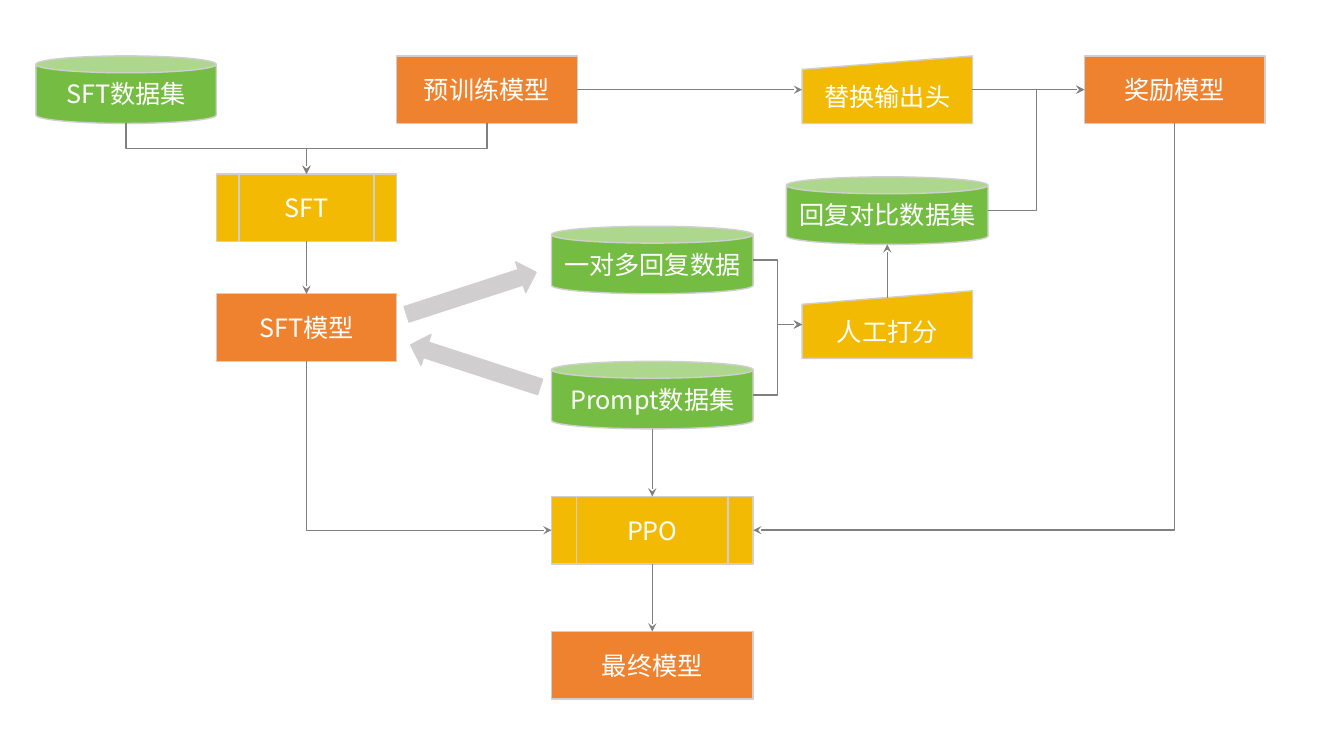
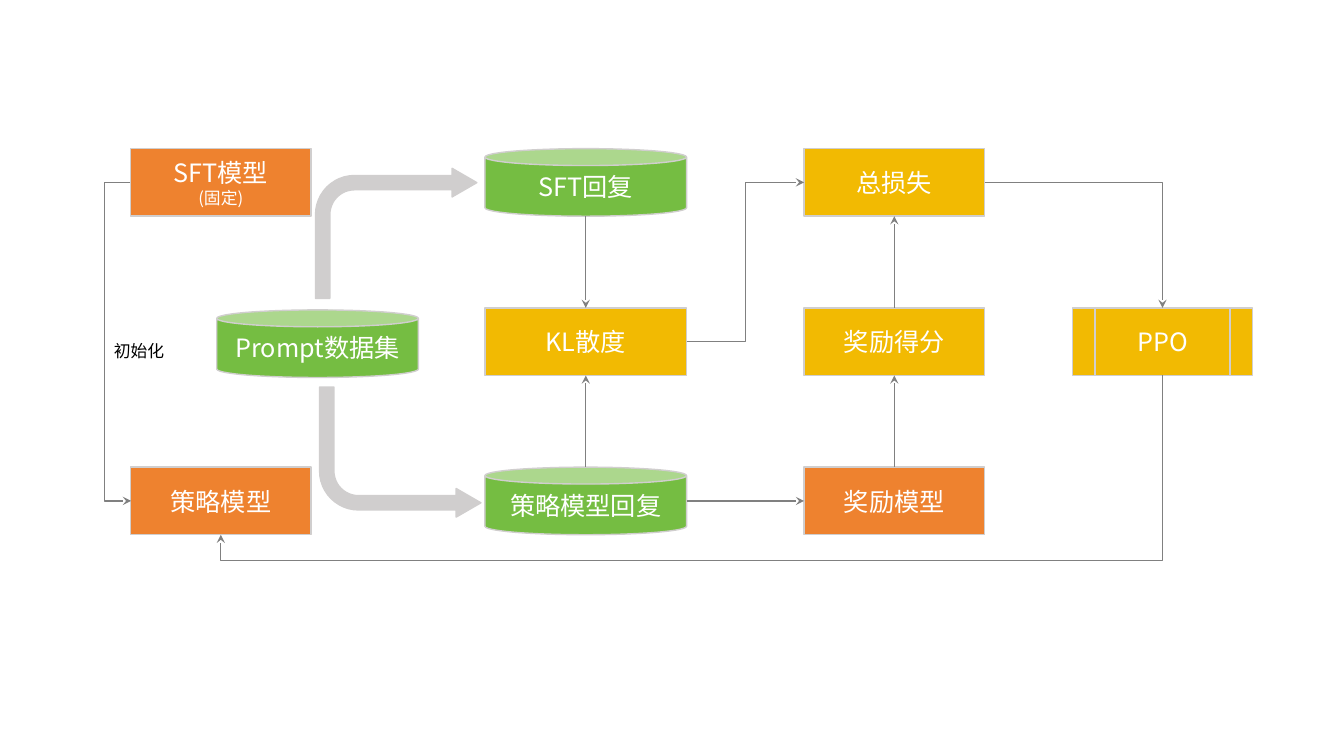
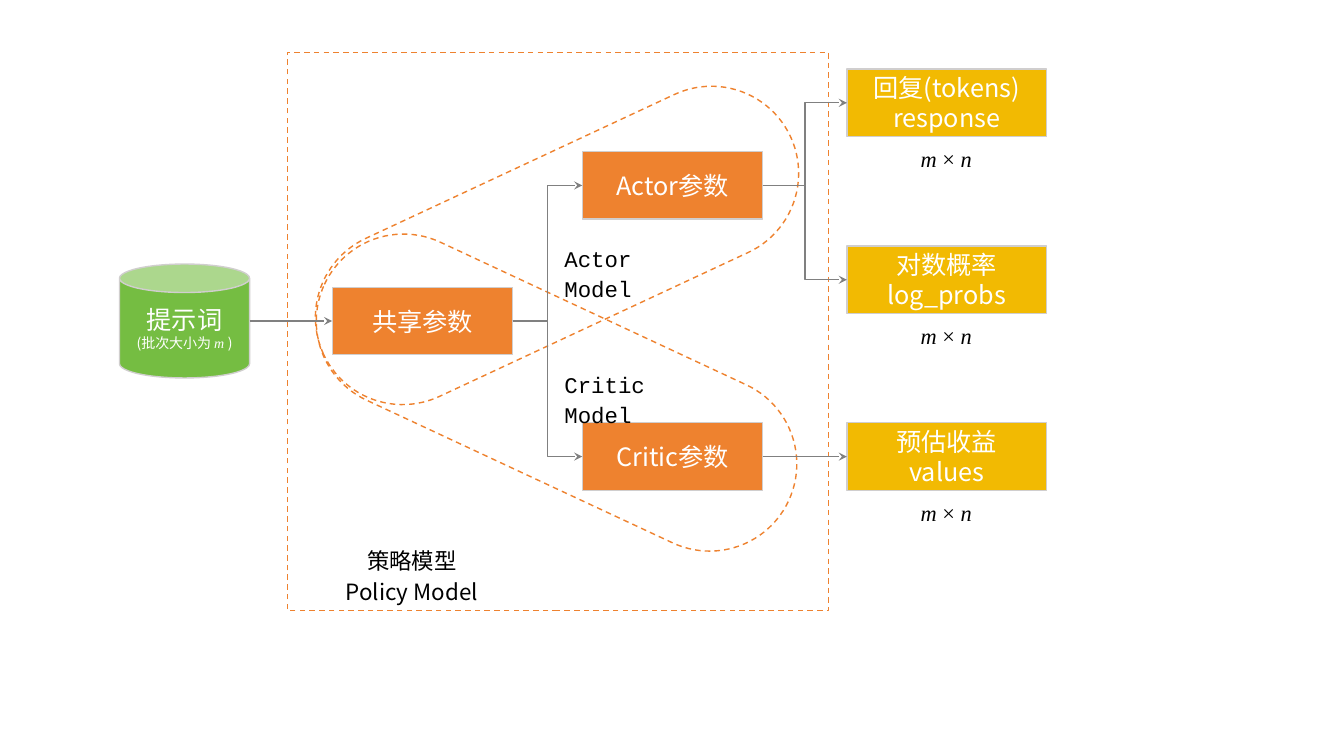
import lxml.etree
import pptx
import pptx.dml.color
import pptx.enum.dml
import pptx.enum.shapes
import pptx.enum.text
import pptx.oxml.ns
import pptx.util

RGB = pptx.dml.color.RGBColor
ORANGE = RGB(0xEE, 0x82, 0x2F)
GREEN = RGB(0x75, 0xBD, 0x42)
YELLOW = RGB(0xF2, 0xBA, 0x02)
SILVER = RGB(0xD0, 0xCE, 0xCE)
GREY = RGB(0x80, 0x80, 0x80)
WHITE = RGB(0xFF, 0xFF, 0xFF)
BLACK = RGB(0, 0, 0)

SANS, SERIF, MONO = "Noto Sans CJK SC", "Times New Roman", "Courier New"
KIND = pptx.enum.shapes.MSO_SHAPE
LINK = pptx.enum.shapes.MSO_CONNECTOR
CENTER = pptx.enum.text.PP_ALIGN.CENTER
LEFT = pptx.enum.text.PP_ALIGN.LEFT
TOP_SIDE, LEFT_SIDE, BOTTOM_SIDE, RIGHT_SIDE = range(4)

BOX_W, BOX_H, WIDE_W = 1.79, 0.67, 2
MODEL = (KIND.RECTANGLE, ORANGE)
DATA = (KIND.CAN, GREEN)
VALUE = (KIND.RECTANGLE, YELLOW)
PROCESS = (KIND.FLOWCHART_PREDEFINED_PROCESS, YELLOW)
MANUAL = (KIND.FLOWCHART_MANUAL_INPUT, YELLOW)

qn = pptx.oxml.ns.qn


def inches(*lengths):
    return [pptx.util.Inches(v) for v in lengths]


def write(tf, paragraphs, size, color, font=SANS, align=CENTER, spacing=None):
    for n, runs in enumerate(paragraphs):
        p = tf.paragraphs[0] if n == 0 else tf.add_paragraph()
        p.alignment = align
        if spacing:
            p.line_spacing = pptx.util.Pt(spacing)
        for run in [runs] if isinstance(runs, str) else runs:
            text, style = (run, {}) if isinstance(run, str) else run
            r = p.add_run()
            r.text = text
            name = style.get("font", font)
            r.font.name = name
            r.font.size = pptx.util.Pt(style.get("size", size))
            r.font.italic = style.get("italic", False)
            r.font.color.rgb = color
            ea = lxml.etree.SubElement(r.font._element, qn("a:ea"))
            ea.set("typeface", name)


def shape(s, kind, at, fill=None, line=SILVER, rotation=0):
    sp = s.shapes.add_shape(kind, *inches(*at))
    sp.shadow.inherit = False
    sp.rotation = rotation
    if fill is None:
        sp.fill.background()
    else:
        sp.fill.solid()
        sp.fill.fore_color.rgb = fill
    sp.line.color.rgb = line
    sp.line.width = pptx.util.Pt(1)
    return sp


def node(s, role, cx, cy, *paragraphs, w=BOX_W, h=BOX_H):
    kind, fill = role
    sp = shape(s, kind, (cx - w / 2, cy - h / 2, w, h), fill)
    sp.text_frame.vertical_anchor = pptx.enum.text.MSO_ANCHOR.MIDDLE
    write(sp.text_frame, paragraphs, 18, WHITE)
    return sp


def label(s, at, *paragraphs, size=16, **style):
    tf = s.shapes.add_textbox(*inches(*at)).text_frame
    tf.word_wrap = True
    tf.auto_size = pptx.enum.text.MSO_AUTO_SIZE.SHAPE_TO_FIT_TEXT
    write(tf, paragraphs, size, BLACK, **style)


def outline(s, kind, at, rotation=0):
    sp = shape(s, kind, at, line=ORANGE, rotation=rotation)
    sp.line.dash_style = pptx.enum.dml.MSO_LINE.DASH
    return sp


def bent_arrow(s, left, top, flipped=False):
    sp = shape(s, KIND.BENT_ARROW, (left, top, 1.6, 1.29), SILVER)
    for n, share in enumerate((0.11, 0.11, 0.19, 0.3)):
        sp.adjustments[n] = share
    if flipped:
        sp._element.spPr.find(qn("a:xfrm")).set("flipV", "1")


def site(sp, side):
    x = sp.left + sp.width * {LEFT_SIDE: 0, RIGHT_SIDE: 1}.get(side, 0.5)
    y = sp.top + sp.height * {TOP_SIDE: 0, BOTTOM_SIDE: 1}.get(side, 0.5)
    if side == TOP_SIDE and sp.auto_shape_type == KIND.FLOWCHART_MANUAL_INPUT:
        y += sp.height / 10
    return x, y


def connect(s, a, i, b, j, bend=0.5):
    (x1, y1), (x2, y2) = site(a, i), site(b, j)
    dx, dy = x2 - x1, y2 - y1
    near = pptx.util.Inches(0.02)
    straight = i != j and min(abs(dx), abs(dy)) < near
    c = s.shapes.add_connector(LINK.STRAIGHT if straight else LINK.ELBOW, 0, 0, 0, 0)
    c.begin_connect(a, i)
    c.end_connect(b, j)
    for end, sp, side in (("stCxn", a, i), ("endCxn", b, j)):
        if sp.auto_shape_type == KIND.CAN:
            next(c._element.iter(qn("a:" + end))).set("idx", str(side + 1))

    upright = not straight and i in (TOP_SIDE, BOTTOM_SIDE)
    w, h = (abs(dy), abs(dx)) if upright else (abs(dx), abs(dy))
    if i == j:
        w = max(w, pptx.util.Inches(0.01))
    c.left, c.top = int((x1 + x2 - w) / 2), int((y1 + y2 - h) / 2)
    c.width, c.height = int(w), int(h)
    spPr = c._element.spPr
    xfrm = spPr.find(qn("a:xfrm"))
    turn = (90 if dy > 0 else 270) if upright else 0
    flip_v = (dx > 0) == (dy > 0) if upright else dy < 0
    xfrm.set("rot", str(turn * 60000))
    xfrm.set("flipH", str(int(not upright and dx < 0)))
    xfrm.set("flipV", str(int(flip_v)))

    if not straight:
        geom = spPr.find(qn("a:prstGeom"))
        if i % 2 != j % 2:
            geom.set("prst", "bentConnector2")
        else:
            av = geom.find(qn("a:avLst"))
            if av is None:
                av = lxml.etree.SubElement(geom, qn("a:avLst"))
            gd = lxml.etree.SubElement(av, qn("a:gd"))
            gd.set("name", "adj1")
            gd.set("fmla", f"val {round(bend * 100000)}")

    c.line.color.rgb = GREY
    c.line.width = pptx.util.Pt(1)
    ln = spPr.find(qn("a:ln"))
    lxml.etree.SubElement(ln, qn("a:tailEnd")).set("type", "stealth")
    lxml.etree.SubElement(spPr, qn("a:effectLst"))


def training_slide(s):
    left, sft_col, base_col = [1.25 + BOX_W * n for n in range(3)]
    mid, right, reward_col = 6.47, 8.8, 11.65
    top = 0.89
    replies_row, prompt_row, ppo_row, final_row = [2.58 + 1.34 * n for n in range(4)]

    base = node(s, MODEL, base_col, top, "预训练模型")
    sft_data = node(s, DATA, left, top, "SFT数据集")
    sft = node(s, PROCESS, sft_col, 2.06, "SFT")
    sft_model = node(s, MODEL, sft_col, 3.25, "SFT模型")
    replies = node(s, DATA, mid, replies_row, "一对多回复数据", w=WIDE_W)
    prompts = node(s, DATA, mid, prompt_row, "Prompt数据集", w=WIDE_W)
    scoring = node(s, MANUAL, right, 3.22, "人工打分", w=1.69)
    ranked = node(s, DATA, right, 2.09, "回复对比数据集", w=WIDE_W)
    reward = node(s, MODEL, reward_col, top, "奖励模型")
    new_head = node(s, MANUAL, right, top, "替换输出头", w=1.69)
    ppo = node(s, PROCESS, mid, ppo_row, "PPO", w=WIDE_W)
    final = node(s, MODEL, mid, final_row, "最终模型", w=WIDE_W)

    shape(s, KIND.RIGHT_ARROW, (4, 2.75, 1.35, 0.32), SILVER, rotation=-18)
    shape(s, KIND.LEFT_ARROW, (4.04, 3.47, 1.35, 0.32), SILVER, rotation=18)

    for a, i, b, j in (
        (sft_data, BOTTOM_SIDE, sft, TOP_SIDE),
        (base, BOTTOM_SIDE, sft, TOP_SIDE),
        (sft, BOTTOM_SIDE, sft_model, TOP_SIDE),
        (replies, RIGHT_SIDE, scoring, LEFT_SIDE),
        (prompts, RIGHT_SIDE, scoring, LEFT_SIDE),
        (scoring, TOP_SIDE, ranked, BOTTOM_SIDE),
        (base, RIGHT_SIDE, new_head, LEFT_SIDE),
        (new_head, RIGHT_SIDE, reward, LEFT_SIDE),
        (ranked, RIGHT_SIDE, reward, LEFT_SIDE),
        (prompts, BOTTOM_SIDE, ppo, TOP_SIDE),
        (reward, BOTTOM_SIDE, ppo, RIGHT_SIDE),
        (ppo, BOTTOM_SIDE, final, TOP_SIDE),
        (sft_model, BOTTOM_SIDE, ppo, LEFT_SIDE),
    ):
        connect(s, a, i, b, j)


def ppo_slide(s):
    models, replies, scores, update = 2.19, 5.81, 8.87, 11.53
    top, mid, low = [1.81 + 1.58 * n for n in range(3)]

    sft_model = node(s, MODEL, models, top, "SFT模型", [("(固定)", {"size": 12})])
    node(s, DATA, 3.15, 3.41, "Prompt数据集", w=WIDE_W)
    policy = node(s, MODEL, models, low, "策略模型")
    reward = node(s, MODEL, scores, low, "奖励模型")
    label(s, (1.03, 3.33, 0.71, 0.3), "初始化", size=12, align=LEFT)
    bent_arrow(s, 3.13, 1.67)
    bent_arrow(s, 3.17, 3.84, flipped=True)
    sft_reply = node(s, DATA, replies, top, "SFT回复", w=WIDE_W)
    policy_reply = node(s, DATA, replies, low, "策略模型回复", w=WIDE_W)
    kl = node(s, VALUE, replies, mid, "KL散度", w=WIDE_W)
    score = node(s, VALUE, scores, mid, "奖励得分")
    ppo = node(s, PROCESS, update, mid, "PPO")
    loss = node(s, VALUE, scores, top, "总损失")

    for a, i, b, j in (
        (sft_reply, BOTTOM_SIDE, kl, TOP_SIDE),
        (policy_reply, TOP_SIDE, kl, BOTTOM_SIDE),
        (policy_reply, RIGHT_SIDE, reward, LEFT_SIDE),
        (kl, RIGHT_SIDE, loss, LEFT_SIDE),
        (score, TOP_SIDE, loss, BOTTOM_SIDE),
        (reward, TOP_SIDE, score, BOTTOM_SIDE),
        (loss, RIGHT_SIDE, ppo, TOP_SIDE),
    ):
        connect(s, a, i, b, j)
    connect(s, sft_model, LEFT_SIDE, policy, LEFT_SIDE, bend=-26)
    connect(s, ppo, BOTTOM_SIDE, policy, BOTTOM_SIDE, bend=1.16)


def policy_slide(s):
    prompt_col, shared_col, head_col, out_col = 1.83, 4.19, 6.67, 9.39
    top, mid, low = [1.84 + 1.345 * n for n in range(3)]
    out_rows = [1.02 + 1.755 * n for n in range(3)]
    italic = {"font": SERIF, "italic": True}

    prompt = node(s, DATA, prompt_col, mid, "提示词",
                  [("(批次大小为 ", {"size": 10}), ("m ", {"size": 10, **italic}),
                   (")", {"size": 10})], w=1.29, h=1.13)
    shared = node(s, MODEL, shared_col, mid, "共享参数")
    actor = node(s, MODEL, head_col, top, "Actor参数")
    critic = node(s, MODEL, head_col, low, "Critic参数")
    out_texts = (("回复(tokens)", "response"), ("对数概率log_probs",), ("预估收益", "values"))
    response, log_probs, values = [
        node(s, VALUE, out_col, y, *text, w=1.98) for y, text in zip(out_rows, out_texts)]

    for at, rotation in (((2.97, 1.57, 5.11, 1.73), -25), ((2.98, 3.03, 5.08, 1.73), 25)):
        outline(s, KIND.ROUNDED_RECTANGLE, at, rotation).adjustments[0] = 0.5
    outline(s, KIND.RECTANGLE, (2.85, 0.52, 5.37, 5.54))

    for a, b in ((prompt, shared), (shared, actor), (shared, critic),
                 (actor, response), (actor, log_probs), (critic, values)):
        connect(s, a, RIGHT_SIDE, b, LEFT_SIDE)

    for y, text in ((2.34, "Actor Model"), (3.59, "Critic Model")):
        label(s, (5.5, y, 1.55, 0.41), text, font=MONO, align=LEFT, spacing=22)
    label(s, (3.09, 5.34, 1.99, 0.72), "策略模型", "Policy Model", spacing=22)
    for y in out_rows:
        label(s, (out_col - 1, y + BOX_H / 2, 1.99, 0.41),
              [("m", italic), " × ", ("n", italic)], font=SERIF, spacing=22)


def main():
    prs = pptx.Presentation()
    prs.slide_width, prs.slide_height = inches(13.33, 7.5)
    for build in (training_slide, ppo_slide, policy_slide):
        build(prs.slides.add_slide(prs.slide_layouts[6]))
    prs.save("out.pptx")


if __name__ == "__main__":
    main()
